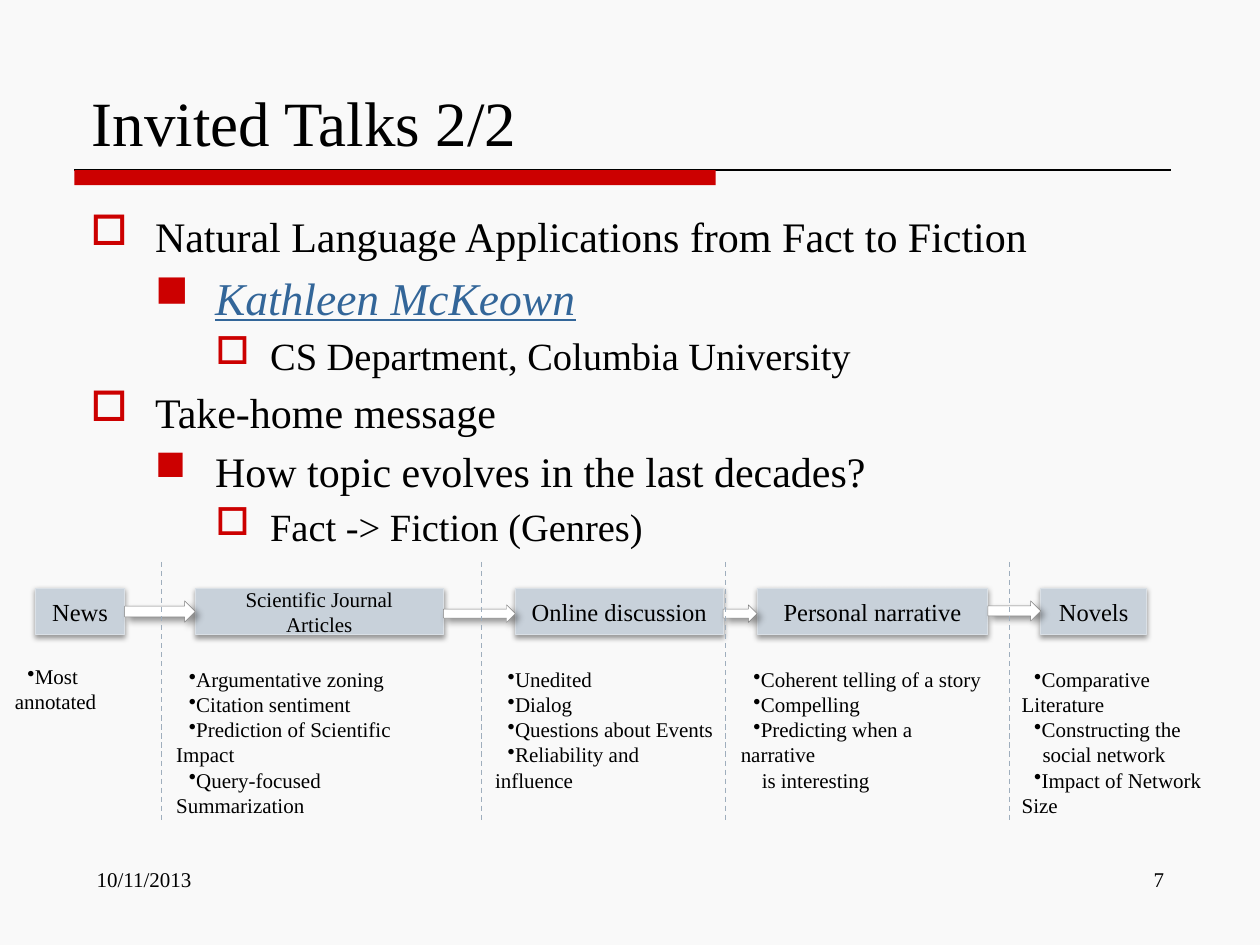
import pptx
import pptx.dml.color
import pptx.enum.dml
import pptx.enum.shapes
import pptx.enum.text
import pptx.oxml
import pptx.oxml.ns
import pptx.util

Pt = pptx.util.Pt
Shapes = pptx.enum.shapes.MSO_SHAPE
Anchor = pptx.enum.text.MSO_ANCHOR
Align = pptx.enum.text.PP_ALIGN


def color(value):
    return pptx.dml.color.RGBColor.from_string(value)


def add_xml(parent, xml):
    namespace = pptx.oxml.ns.nsdecls("a")
    parent.append(pptx.oxml.parse_xml(xml.replace("XMLNS", namespace, 1)))


class SlideBuilder:
    """Holds the style and the current slide, and draws each kind of element."""

    font = "Times New Roman"
    ink = "000000"
    accent = "CC0000"
    link = "336699"

    def __init__(self, slide):
        self.slide = slide
        slide.background.fill.solid()
        slide.background.fill.fore_color.rgb = color("F9F9F9")

    def style(self, paragraph, text, size, align=Align.LEFT):
        paragraph.text = text
        paragraph.alignment = align
        paragraph.font.name = self.font
        paragraph.font.size = Pt(size)
        paragraph.font.color.rgb = color(self.ink)

    def indent(self, paragraph, margin, first):
        properties = paragraph._p.get_or_add_pPr()
        properties.set("marL", str(Pt(margin)))
        properties.set("indent", str(Pt(first)))

    def bullet(self, paragraph, character, value):
        properties = paragraph._p.get_or_add_pPr()
        add_xml(properties, f'<a:buClr XMLNS><a:srgbClr val="{value}"/></a:buClr>')
        add_xml(properties, f'<a:buChar XMLNS char="{character}"/>')

    def frame(self, left, top, width, height, anchor=Anchor.TOP):
        box = self.slide.shapes.add_textbox(Pt(left), Pt(top), Pt(width), Pt(height))
        box.text_frame.word_wrap = True
        box.text_frame.vertical_anchor = anchor
        return box.text_frame

    def label(self, text, left, top, width, height, size, anchor=Anchor.TOP, align=Align.LEFT):
        frame = self.frame(left, top, width, height, anchor)
        self.style(frame.paragraphs[0], text, size, align)

    def paragraphs(self, frame, count):
        return [frame.paragraphs[0]] + [frame.add_paragraph() for _ in range(count - 1)]

    def outline(self, items, left, top, width, height):
        levels = [(36.9, -36.9, "□"), (71.2, -34.4, "■"), (102.7, -31.3, "□")]
        frame = self.frame(left, top, width, height)
        for paragraph, (level, text, size) in zip(self.paragraphs(frame, len(items)), items):
            margin, first, character = levels[level]
            self.style(paragraph, text, size)
            paragraph.space_before = Pt(0.2 * size)
            self.indent(paragraph, margin, first)
            self.bullet(paragraph, character, self.accent)
        return frame

    def notes(self, items, left, top, width):
        frame = self.frame(left, top, width, 14.5 * len(items) + 7.2)
        for paragraph, text in zip(self.paragraphs(frame, len(items)), items):
            self.style(paragraph, text.lstrip("+"), 12)
            if text.startswith("+"):
                self.indent(paragraph, 12, 0)
            else:
                self.indent(paragraph, 0, 7.2)
                self.bullet(paragraph, "•", self.ink)

    def shape(self, kind, left, top, width, height, fill, line=None, weight=0.75, shadow=None):
        shape = self.slide.shapes.add_shape(kind, Pt(left), Pt(top), Pt(width), Pt(height))
        shape.fill.solid()
        shape.fill.fore_color.rgb = color(fill)
        if line:
            shape.line.color.rgb = color(line)
            shape.line.width = Pt(weight)
        else:
            shape.line.fill.background()
        shape.shadow.inherit = False
        if shadow:
            alpha, blur, distance, angle = shadow
            effects = shape._element.spPr.find(pptx.oxml.ns.qn("a:effectLst"))
            add_xml(effects, f'<a:outerShdw XMLNS blurRad="{Pt(blur)}" dist="{Pt(distance)}" '
                    f'dir="{angle * 60000}" rotWithShape="0"><a:srgbClr val="000000">'
                    f'<a:alpha val="{alpha * 1000}"/></a:srgbClr></a:outerShdw>')
        return shape

    def genre(self, text, left, top, width, height, size, inset):
        shape = self.shape(Shapes.RECTANGLE, left, top, width, height,
                           "C8D1DA", "DAE0E6", shadow=(38, 3.1, 1.6, 90))
        frame = shape.text_frame
        frame.word_wrap = True
        frame.vertical_anchor = Anchor.MIDDLE
        frame.margin_left = frame.margin_right = Pt(inset)
        self.style(frame.paragraphs[0], text, size, Align.CENTER)

    def arrow(self, left, top, width, height):
        self.shape(Shapes.RIGHT_ARROW, left, top, width, height,
                   "FFFFFF", "808080", 0.25, (40, 4, 3, 45))

    def line(self, x1, y1, x2, y2, value, dashed=False):
        connector = self.slide.shapes.add_connector(
            pptx.enum.shapes.MSO_CONNECTOR.STRAIGHT, Pt(x1), Pt(y1), Pt(x2), Pt(y2))
        connector.line.color.rgb = color(value)
        connector.line.width = Pt(0.75)
        if dashed:
            connector.line.dash_style = pptx.enum.dml.MSO_LINE.DASH
        add_xml(connector._element.spPr, "<a:effectLst XMLNS/>")


OUTLINE = [
    (0, "Natural Language Applications from Fact to Fiction", 24),
    (1, "Kathleen McKeown", 26),
    (2, "CS Department, Columbia University", 22),
    (0, "Take-home message", 24),
    (1, "How topic evolves in the last decades?", 24),
    (2, "Fact -> Fiction (Genres)", 22),
]
GENRES = [
    ("News", 20.2, 51.1, 14, 7.2),
    ("Scientific Journal Articles", 111.6, 141.8, 12, 10),
    ("Online discussion", 294.5, 118.8, 14, 7.2),
    ("Personal narrative", 432.7, 131.8, 14, 7.2),
    ("Novels", 594.7, 60.5, 14, 7.2),
]
ARROWS = [(343.4, 12.2), (345.6, 10.1), (345.6, 10.1), (343.4, 11.5)]
NOTES = [
    (1.4, 375.8, 72, ["Most annotated"]),
    (93.6, 377.3, 151, ["Argumentative zoning", "Citation sentiment",
                        "Prediction of Scientific Impact", "Query-focused Summarization"]),
    (275.8, 377.3, 141.8, ["Unedited", "Dialog", "Questions about Events",
                           "Reliability and influence"]),
    (416.2, 377.3, 154, ["Coherent telling of a story", "Compelling",
                         "Predicting when a narrative", "+is interesting"]),
    (576.7, 377.3, 129, ["Comparative Literature", "Constructing the",
                         "+social network", "Impact of Network Size"]),
]
DIVIDERS = [92.2, 275, 414.7, 576.7]


def main():
    presentation = pptx.Presentation()
    presentation.slide_width, presentation.slide_height = Pt(720), Pt(540)
    builder = SlideBuilder(presentation.slides.add_slide(presentation.slide_layouts[6]))

    builder.line(42.5, 97.2, 668.9, 97.2, builder.ink)
    builder.shape(Shapes.RECTANGLE, 42.5, 97.2, 366.5, 8.6, builder.accent)
    builder.label("Invited Talks 2/2", 45.4, 23.8, 630, 70.6, 36, Anchor.BOTTOM)
    outline = builder.outline(OUTLINE, 44.6, 116.6, 630, 368.6)
    speaker = outline.paragraphs[1].font
    speaker.italic = speaker.underline = True
    speaker.color.rgb = color(builder.link)
    builder.label("10/11/2013", 48.2, 491.8, 156.2, 37.4, 12)
    builder.label("7", 516.2, 491.8, 156.2, 37.4, 12, align=Align.RIGHT)

    for text, left, width, size, inset in GENRES:
        builder.genre(text, left, 336.2, width, 26.6, size, inset)
    for (top, height), before, after in zip(ARROWS, GENRES, GENRES[1:]):
        start = before[1] + before[2]
        builder.arrow(start, top, after[1] - start, height)
    for left, top, width, items in NOTES:
        builder.notes(items, left, top, width)
    for x in DIVIDERS:
        builder.line(x, 321.1, x, 468.7, "9FAEBD", dashed=True)

    presentation.save("out.pptx")


if __name__ == "__main__":
    main()
